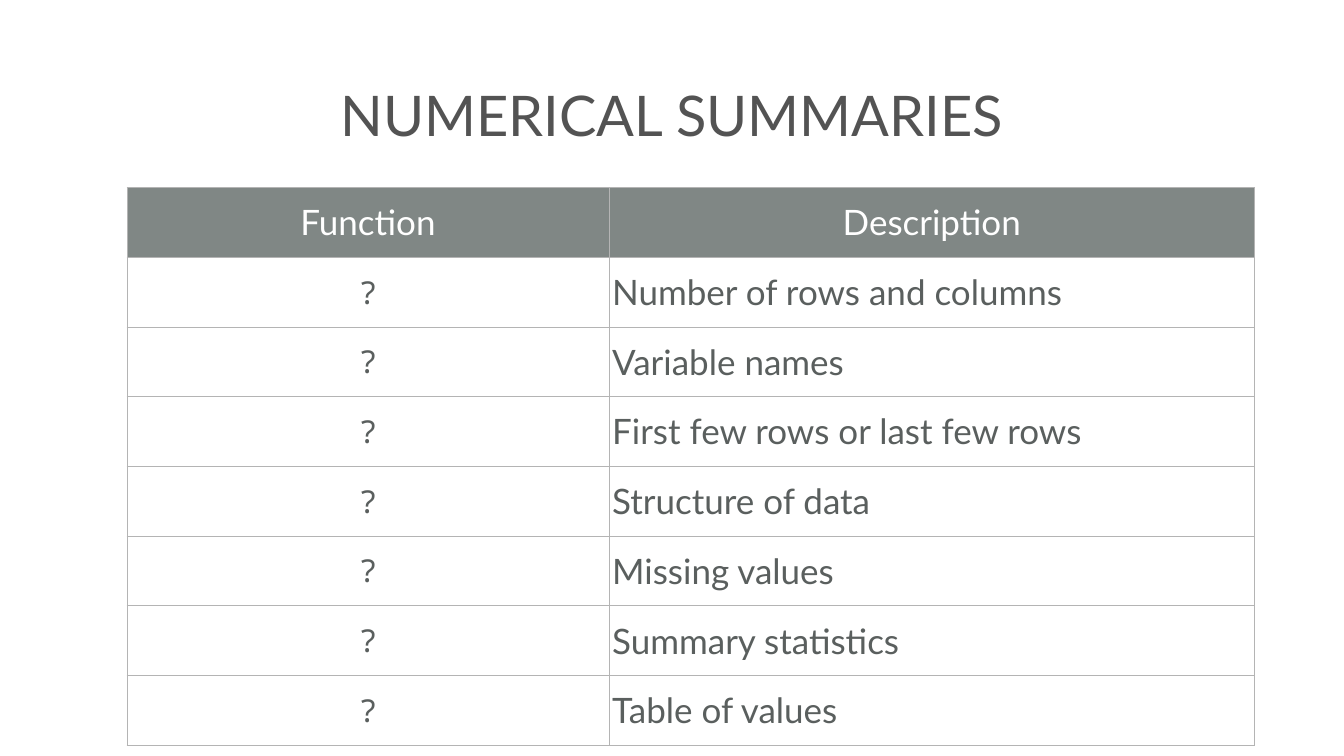
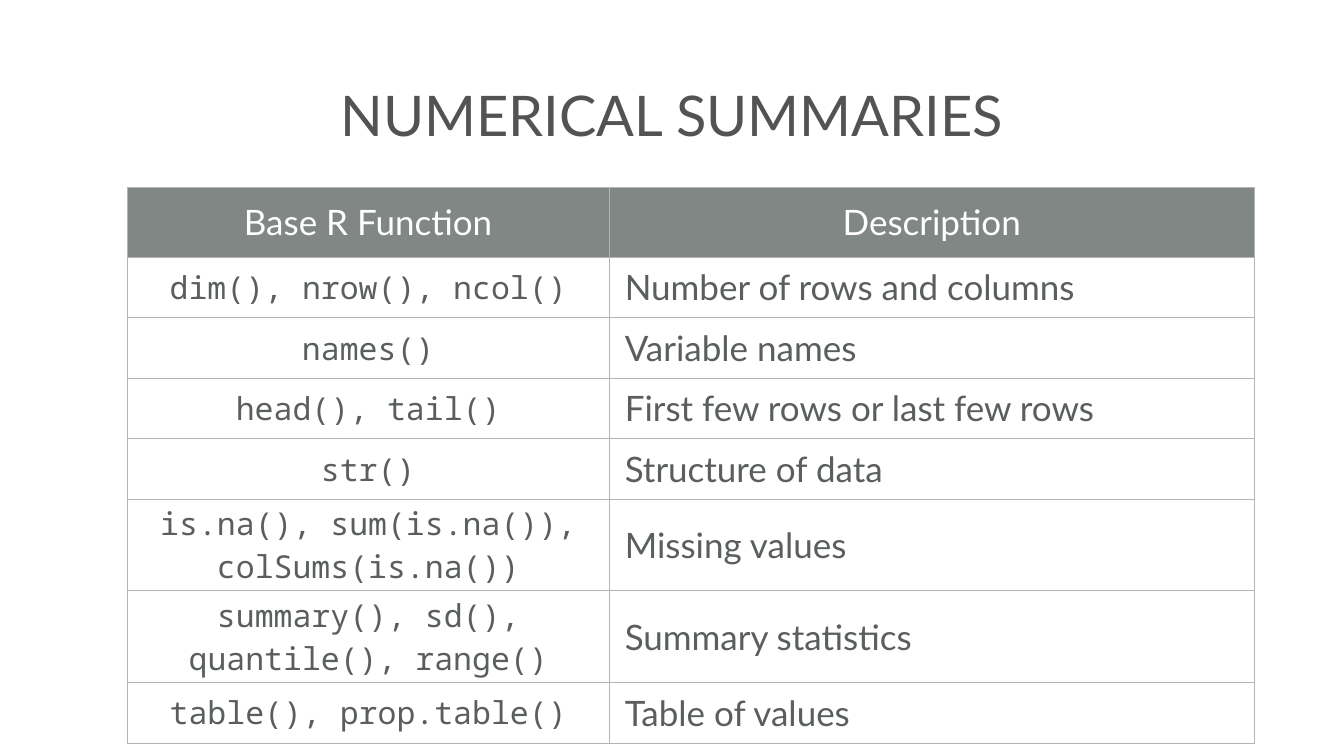
from dataclasses import dataclass

from lxml import etree
from pptx import Presentation
from pptx.dml.color import RGBColor
from pptx.enum import text
from pptx.oxml import ns
from pptx.util import Emu, Inches, Pt


@dataclass(frozen=True)
class Theme:
    title: str = "535353"
    header_fill: str = "808785"
    header_text: str = "FFFFFF"
    body: str = "5A5F5E"
    rule: str = "B4B4B4"
    sans: str = "Lato"
    mono: str = "Noto Sans Mono"
    title_size: int = 80
    text_size: int = 50
    code_size: int = 45
    rule_width: int = 1


theme = Theme()
deck = Presentation()
deck.slide_width, deck.slide_height = Inches(26.67), Inches(15)
wide, high = deck.slide_width / 100, deck.slide_height / 100
inset = Emu(int(0.22 * wide))
columns = [35.88, 48]
header_row = 9.22
two_line_row = 12.12
line_capacity = 25


def write(frame, words, font, size, color, align):
    frame.word_wrap = True
    paragraph = frame.paragraphs[0]
    paragraph.alignment = align
    run = paragraph.add_run()
    run.text = words
    run.font.name, run.font.size = font, Pt(size)
    run.font.color.rgb = RGBColor.from_string(color)
    return paragraph


def pad(box):
    box.margin_left = box.margin_right = inset
    box.margin_top = box.margin_bottom = inset
    box.vertical_anchor = text.MSO_ANCHOR.MIDDLE


descriptions = [
    "Number of rows and columns",
    "Variable names",
    "First few rows or last few rows",
    "Structure of data",
    "Missing values",
    "Summary statistics",
    "Table of values",
]
answers = [
    "dim(), nrow(), ncol()",
    "names()",
    "head(), tail()",
    "str()",
    "is.na(), sum(is.na()), colSums(is.na())",
    "summary(), sd(), quantile(), range()",
    "table(), prop.table()",
]
summaries = [
    ("Function", ["?"] * len(descriptions), header_row, 0),
    ("Base R Function", answers, 8, 0.25),
]

for heading, functions, body_row, indent in summaries:
    slide = deck.slides.add_slide(deck.slide_layouts[6])
    rows = [(heading, "Description"), *zip(functions, descriptions)]
    heights = [header_row] + [
        two_line_row if len(function) > line_capacity else body_row
        for function in functions]
    grid = slide.shapes.add_table(
        len(rows), len(columns), int(9.45 * wide), int(24.8 * high),
        int(sum(columns) * wide), int(sum(heights) * high)).table
    grid.first_row = grid.horz_banding = False
    for column, share in zip(grid.columns, columns):
        column.width = int(share * wide)
    for row, share in zip(grid.rows, heights):
        row.height = int(share * high)

    for r, entries in enumerate(rows):
        for c, words in enumerate(entries):
            cell = grid.cell(r, c)
            pad(cell)
            properties = cell._tc.get_or_add_tcPr()
            for side in ("a:lnL", "a:lnR", "a:lnT", "a:lnB"):
                edge = etree.SubElement(properties, ns.qn(side), w=str(Pt(theme.rule_width)))
                paint = etree.SubElement(edge, ns.qn("a:solidFill"))
                etree.SubElement(paint, ns.qn("a:srgbClr"), val=theme.rule)
            if r == 0:
                cell.fill.solid()
                cell.fill.fore_color.rgb = RGBColor.from_string(theme.header_fill)
                write(cell.text_frame, words, theme.sans, theme.text_size,
                      theme.header_text, text.PP_ALIGN.CENTER)
                continue
            cell.fill.background()
            if c == 0:
                write(cell.text_frame, words, theme.mono, theme.code_size,
                      theme.body, text.PP_ALIGN.CENTER)
            else:
                description = write(cell.text_frame, words, theme.sans, theme.text_size,
                                    theme.body, text.PP_ALIGN.LEFT)
                if indent:
                    description.level = 1
                    layout = description._p.get_or_add_pPr()
                    layout.set("marL", "0")
                    layout.set("indent", str(Inches(indent)))

    title = slide.shapes.add_textbox(
        int(2.74 * wide), int(2.6 * high), int(94.53 * wide), int(25 * high)).text_frame
    pad(title)
    write(title, "NUMERICAL SUMMARIES", theme.sans, theme.title_size,
          theme.title, text.PP_ALIGN.CENTER)

deck.save("out.pptx")
